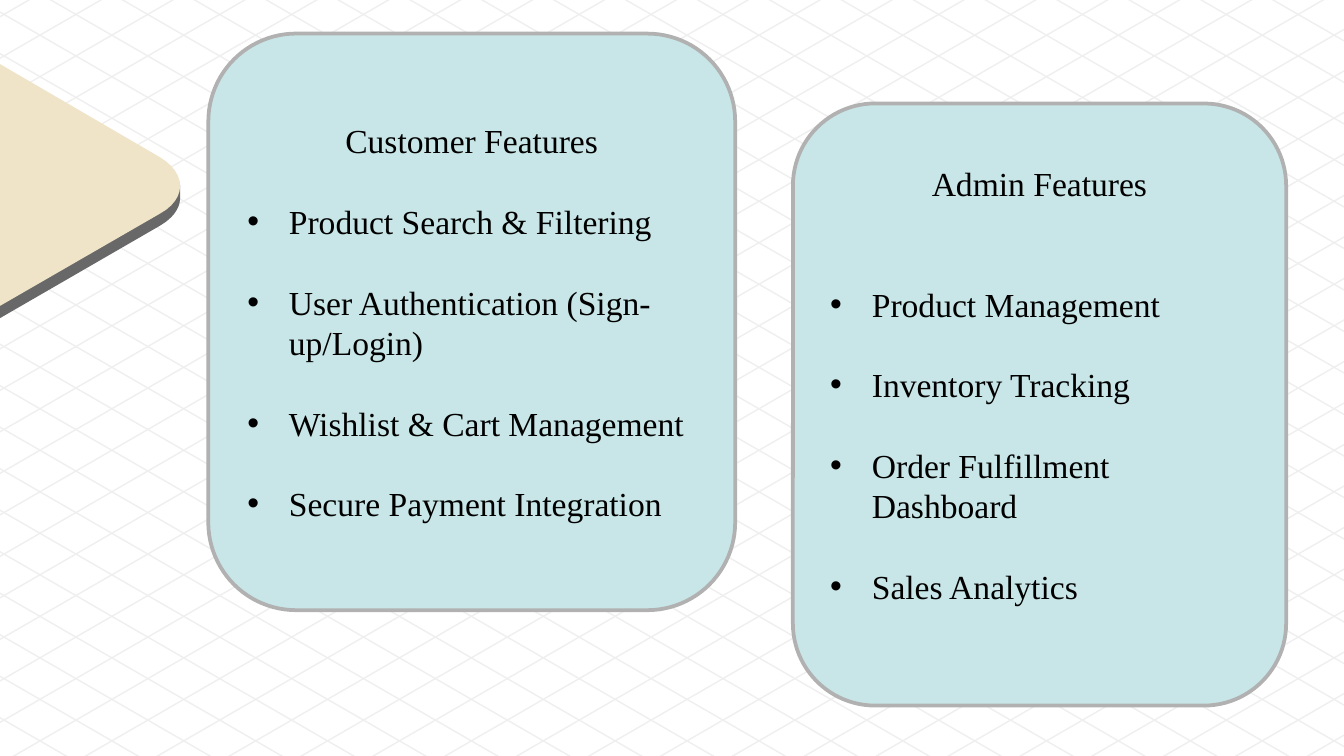
from dataclasses import dataclass

from pptx import Presentation
from pptx.dml.color import RGBColor
from pptx.enum import shapes, text
from pptx.oxml.ns import qn
from pptx.util import Inches, Pt
from lxml import etree

COLORS = {
    "grid": "EFEFEF",
    "shade": "686868",
    "sand": "EFE4C8",
    "card": "C8E6E7",
    "border": "B1B1B1",
    "text": "000000",
}
FONT = "Times New Roman"
LINE_PITCH = 21.6  # points
SLIDE_WIDTH = 10
SLIDE_HEIGHT = SLIDE_WIDTH * 9 / 16

GRID_LINES = 37
GRID_SLOPE = 0.5774  # tangent of 30 degrees
GRID_FIRST, GRID_LAST = -5.47, 5.65  # heights at the left edge of the slide
GRID_LEFT, GRID_RIGHT, GRID_TOP, GRID_BOTTOM = -0.4, 10.1, -0.12, 5.87
MIRROR_SHIFT, MIRROR_HEIGHT = 0.25, 5.63

Point = tuple[float, float]


@dataclass
class Card:
    left: float
    top: float
    width: float
    height: float
    heading: str
    items: list[str]
    heading_gap: int = 1  # empty lines under the heading
    bottom_inset: float = 0.05


@dataclass
class Corner:
    """Left-hand panel whose right side is a rounded tip."""
    color: str
    top: float
    curves: list[list[Point]]
    foot: float


CARDS = [
    Card(1.55, 0.25, 3.92, 4.29, "Customer Features", [
        "Product Search & Filtering",
        "User Authentication (Sign-up/Login)",
        "Wishlist & Cart Management",
        "Secure Payment Integration",
    ]),
    Card(5.9, 0.77, 3.67, 4.48, "Admin Features", [
        "Product Management",
        "Inventory Tracking",
        "Order Fulfillment Dashboard",
        "Sales Analytics",
    ], heading_gap=2, bottom_inset=0.35),
]

CORNERS = [
    Corner("shade", -1.18, [
        [(1.19, 1.26), (1.28, 1.31), (1.33, 1.31), (1.34, 1.38)],
        [(1.34, 1.47), (1.34, 1.55), (1.29, 1.62), (1.19, 1.68)],
    ], -0.61),
    Corner("sand", -1.27, [
        [(1.19, 1.17), (1.39, 1.29), (1.39, 1.48), (1.19, 1.59)],
    ], -0.77),
]


def rgb(name: str) -> RGBColor:
    return RGBColor.from_string(COLORS[name])


def add_grid_line(page, start: Point, end: Point) -> None:
    line = page.shapes.add_connector(
        shapes.MSO_CONNECTOR.STRAIGHT, *(Inches(v) for v in (*start, *end)))
    line.line.color.rgb = rgb("grid")
    line.line.width = Pt(0.75)
    etree.SubElement(line._element.spPr, qn("a:effectLst"))


def add_grid(page) -> None:
    """Draw the falling lines, then the rising ones as their mirror image."""
    step = (GRID_LAST - GRID_FIRST) / (GRID_LINES - 1)
    falling = []
    for index in range(GRID_LINES):
        base = GRID_FIRST + index * step
        left = max(GRID_LEFT, (GRID_TOP - base) / GRID_SLOPE)
        right = min(GRID_RIGHT, (GRID_BOTTOM - base) / GRID_SLOPE)
        falling.append([(x, base + GRID_SLOPE * x) for x in (right, left)])
    rising = [[(x + MIRROR_SHIFT, MIRROR_HEIGHT - y) for x, y in ends]
              for ends in falling]
    for start, end in falling + rising:
        add_grid_line(page, start, end)


def curve_points(curve: list[Point], steps: int = 12) -> list[Point]:
    """Points along a cubic Bezier curve."""
    points = []
    for index in range(steps + 1):
        t = index / steps
        weights = ((1 - t) ** 3, 3 * t * (1 - t) ** 2, 3 * t * t * (1 - t), t ** 3)
        points.append(tuple(sum(w * p[axis] for w, p in zip(weights, curve))
                            for axis in (0, 1)))
    return points


def add_corner(page, corner: Corner) -> None:
    points = [point for curve in corner.curves for point in curve_points(curve)]
    points.append((corner.foot, 2.72))
    points += curve_points([(-2.92, 2.72), (-2.96, 2.72), (-3, 2.68), (-3, 2.64)])
    builder = page.shapes.build_freeform(Inches(-3), Inches(corner.top), scale=1.0)
    builder.add_line_segments([(Inches(x), Inches(y)) for x, y in points], close=True)
    shape = builder.convert_to_shape()
    shape.shadow.inherit = False
    shape.fill.solid()
    shape.fill.fore_color.rgb = rgb(corner.color)
    shape.line.fill.background()


def add_bullet(para) -> None:
    properties = para._p.get_or_add_pPr()
    properties.set("marL", str(Inches(0.31)))
    properties.set("indent", str(Inches(-0.31)))
    color = etree.SubElement(properties, qn("a:buClr"))
    etree.SubElement(color, qn("a:srgbClr"), val=COLORS["text"])
    etree.SubElement(properties, qn("a:buFont"), typeface="Arial")
    etree.SubElement(properties, qn("a:buChar"), char="•")


def write_line(para, words: str, gap: int) -> None:
    """Fill a paragraph, leaving the given number of lines free above it."""
    para.line_spacing = Pt(LINE_PITCH)
    para.space_before = Pt(gap * LINE_PITCH)
    span = para.add_run()
    span.text = words
    span.font.size = Pt(18)
    span.font.name = FONT
    span.font.color.rgb = rgb("text")


def add_card(page, card: Card) -> None:
    box = page.shapes.add_shape(
        shapes.MSO_SHAPE.ROUNDED_RECTANGLE,
        Inches(card.left), Inches(card.top), Inches(card.width), Inches(card.height))
    box.shadow.inherit = False
    box.fill.solid()
    box.fill.fore_color.rgb = rgb("card")
    box.line.color.rgb = rgb("border")
    box.line.width = Pt(2)

    frame = box.text_frame
    frame.word_wrap = True
    frame.vertical_anchor = text.MSO_ANCHOR.MIDDLE
    frame.margin_bottom = Inches(card.bottom_inset)
    heading = frame.paragraphs[0]
    heading.alignment = text.PP_ALIGN.CENTER
    write_line(heading, card.heading, gap=0)
    for index, item in enumerate(card.items):
        para = frame.add_paragraph()
        para.alignment = text.PP_ALIGN.LEFT
        write_line(para, item, gap=1 if index else card.heading_gap)
        add_bullet(para)


def main() -> None:
    deck = Presentation()
    deck.slide_width, deck.slide_height = Inches(SLIDE_WIDTH), Inches(SLIDE_HEIGHT)
    page = deck.slides.add_slide(deck.slide_layouts[6])
    add_grid(page)
    for corner in CORNERS:
        add_corner(page, corner)
    for card in CARDS:
        add_card(page, card)
    deck.save("out.pptx")


if __name__ == "__main__":
    main()
